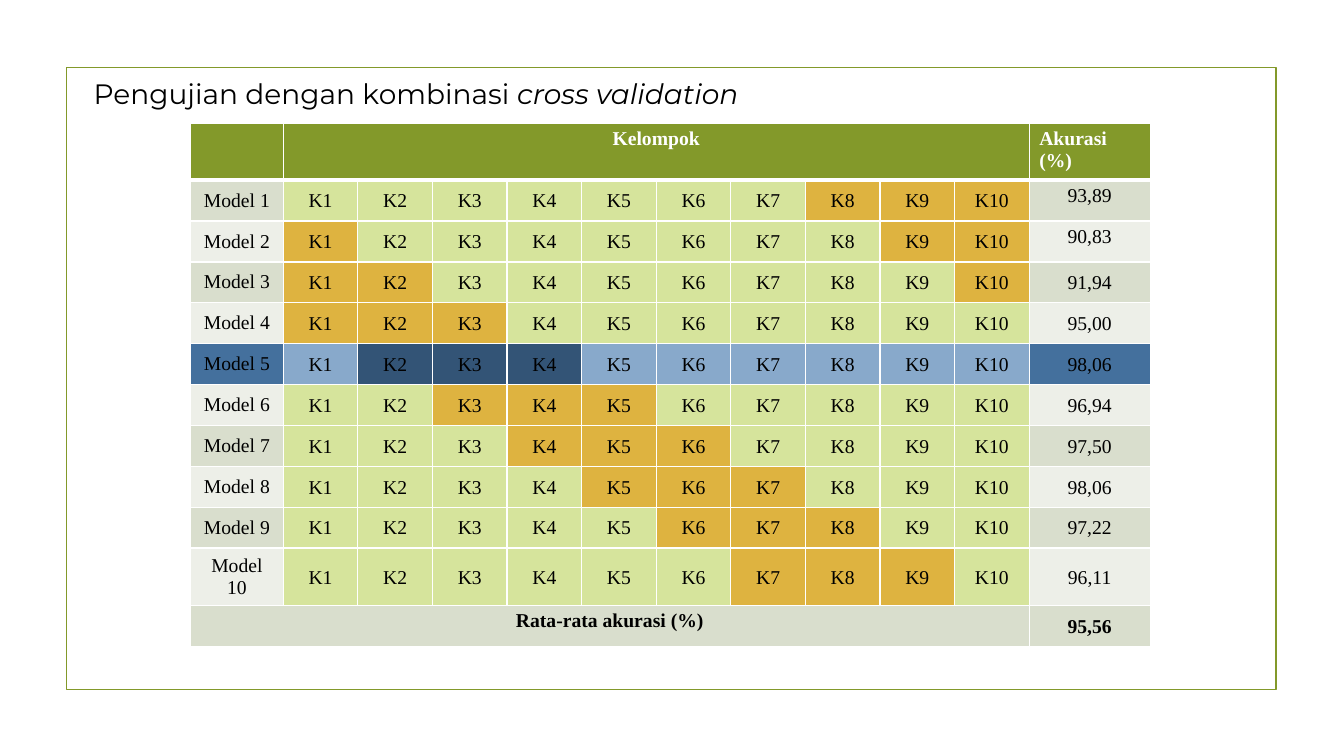
import dataclasses
import pptx
import pptx.util
import pptx.dml.color
import pptx.enum.shapes
import pptx.enum.text
import pptx.oxml
import pptx.oxml.ns

Inches = pptx.util.Inches
Align = pptx.enum.text.PP_ALIGN
Anchor = pptx.enum.text.MSO_ANCHOR


@dataclasses.dataclass(frozen=True)
class Theme:
    olive: str = "83992A"
    white: str = "FFFFFF"
    black: str = "000000"
    odd_row: str = "D9DECD"
    even_row: str = "EDEFE8"
    training: str = "D6E49C"
    testing: str = "DEB340"
    best_label: str = "44709D"
    best_training: str = "88A9CB"
    best_testing: str = "335476"
    title_font: str = "Montserrat"
    table_font: str = "Times New Roman"
    title_size: int = 20
    table_size: int = 14


THEME = Theme()
ACCURACIES = ["93,89", "90,83", "91,94", "95,00", "98,06",
              "96,94", "97,50", "98,06", "97,22", "96,11"]
AVERAGE = "95,56"
GROUP_COUNT = 10
TEST_GROUPS = 3
BEST_MODEL = 5


def rgb(value):
    return pptx.dml.color.RGBColor.from_string(value)


def write(paragraph, text, font=THEME.table_font, size=THEME.table_size,
          color=THEME.black, bold=False, italic=False, align=None, spacing=None):
    run = paragraph.add_run()
    run.text = text
    run.font.name = font
    run.font.size = pptx.util.Pt(size)
    run.font.color.rgb = rgb(color)
    run.font.bold = bold
    run.font.italic = italic
    if align is not None:
        paragraph.alignment = align
    if spacing is not None:
        paragraph.line_spacing = spacing


def add_border(cell, side, width):
    properties = cell._tc.get_or_add_tcPr()
    properties.append(pptx.oxml.parse_xml(
        f'<a:ln{side} {pptx.oxml.ns.nsdecls("a")} w="{pptx.util.Pt(width)}">'
        f'<a:solidFill><a:srgbClr val="{THEME.white}"/></a:solidFill>'
        f'</a:ln{side}>'))


def fill_cell(cell, background, text="", margin=None, anchor=Anchor.TOP, **style):
    cell.fill.solid()
    cell.fill.fore_color.rgb = rgb(background)
    cell.vertical_anchor = anchor
    if margin is not None:
        cell.margin_left = cell.margin_right = Inches(margin)
        cell.margin_top = cell.margin_bottom = 0
    if text:
        write(cell.text_frame.paragraphs[0], text, **style)


def add_frame(slide, left, top, width, height):
    frame = slide.shapes.add_shape(
        pptx.enum.shapes.MSO_SHAPE.RECTANGLE,
        Inches(left), Inches(top), Inches(width), Inches(height))
    frame.shadow.inherit = False
    frame.fill.background()
    frame.line.color.rgb = rgb(THEME.olive)
    frame.line.width = pptx.util.Pt(1.25)


def add_title(slide, left, top, width, height):
    title = slide.shapes.add_textbox(
        Inches(left), Inches(top), Inches(width), Inches(height)).text_frame
    title.word_wrap = False
    title.auto_size = pptx.enum.text.MSO_AUTO_SIZE.SHAPE_TO_FIT_TEXT
    style = {"font": THEME.title_font, "size": THEME.title_size}
    write(title.paragraphs[0], "Pengujian dengan kombinasi ", **style)
    write(title.paragraphs[0], "cross validation", italic=True, **style)


def fill_model_row(results, model, accuracy):
    label = THEME.odd_row if model % 2 else THEME.even_row
    training, testing = THEME.training, THEME.testing
    if model == BEST_MODEL:
        label = THEME.best_label
        training, testing = THEME.best_training, THEME.best_testing
    fill_cell(results.cell(model, 0), label, f"Model {model}",
              anchor=Anchor.MIDDLE, align=Align.CENTER)
    for group in range(1, GROUP_COUNT + 1):
        tested = (model - group - 1) % GROUP_COUNT < TEST_GROUPS
        fill_cell(results.cell(model, group), testing if tested else training,
                  f"K{group}", margin=0.05, anchor=Anchor.MIDDLE,
                  align=Align.CENTER, spacing=1.07)
    placement = {}
    if model > 2:
        placement = {"margin": 0.07, "anchor": Anchor.MIDDLE, "spacing": 1.07}
    fill_cell(results.cell(model, GROUP_COUNT + 1), label, accuracy,
              align=Align.CENTER, **placement)


def add_results(slide, left, top, width, height):
    average_row = len(ACCURACIES) + 1
    accuracy_column = GROUP_COUNT + 1
    results = slide.shapes.add_table(
        average_row + 1, accuracy_column + 1,
        Inches(left), Inches(top), Inches(width), Inches(height)).table
    label_width, group_width = 0.92, 0.74
    widths = [label_width] + [group_width] * GROUP_COUNT
    widths.append(width - sum(widths))
    for column, column_width in zip(results.columns, widths):
        column.width = Inches(column_width)
    for row in results.rows:
        row.height = Inches(height / len(results.rows))

    for row in range(average_row + 1):
        for column in range(accuracy_column + 1):
            cell = results.cell(row, column)
            for side in "LRTB":
                heavy = (row, side) in ((0, "B"), (1, "T"))
                add_border(cell, side, 3 if heavy else 1)
            if row == 0:
                fill_cell(cell, THEME.olive)
            elif row == average_row:
                fill_cell(cell, THEME.odd_row)

    results.cell(0, 1).merge(results.cell(0, GROUP_COUNT))
    results.cell(average_row, 0).merge(results.cell(average_row, GROUP_COUNT))
    heading = {"color": THEME.white, "bold": True}
    fill_cell(results.cell(0, 1), THEME.olive, "Kelompok",
              align=Align.CENTER, **heading)
    fill_cell(results.cell(0, accuracy_column), THEME.olive, "Akurasi (%)", **heading)
    for model, accuracy in enumerate(ACCURACIES, start=1):
        fill_model_row(results, model, accuracy)
    fill_cell(results.cell(average_row, 0), THEME.odd_row, "Rata-rata akurasi (%)",
              bold=True, align=Align.CENTER)
    fill_cell(results.cell(average_row, accuracy_column), THEME.odd_row, AVERAGE,
              margin=0.07, anchor=Anchor.MIDDLE, bold=True,
              align=Align.CENTER, spacing=1.07)


def main():
    deck = pptx.Presentation()
    deck.slide_width = Inches(13.33)
    deck.slide_height = Inches(7.5)
    slide = deck.slides.add_slide(deck.slide_layouts[6])
    add_frame(slide, 0.66, 0.67, 12, 6.17)
    add_title(slide, 0.83, 0.71, 7.13, 0.44)
    add_results(slide, 1.89, 1.22, 9.52, 4.87)
    deck.save("out.pptx")


if __name__ == "__main__":
    main()
